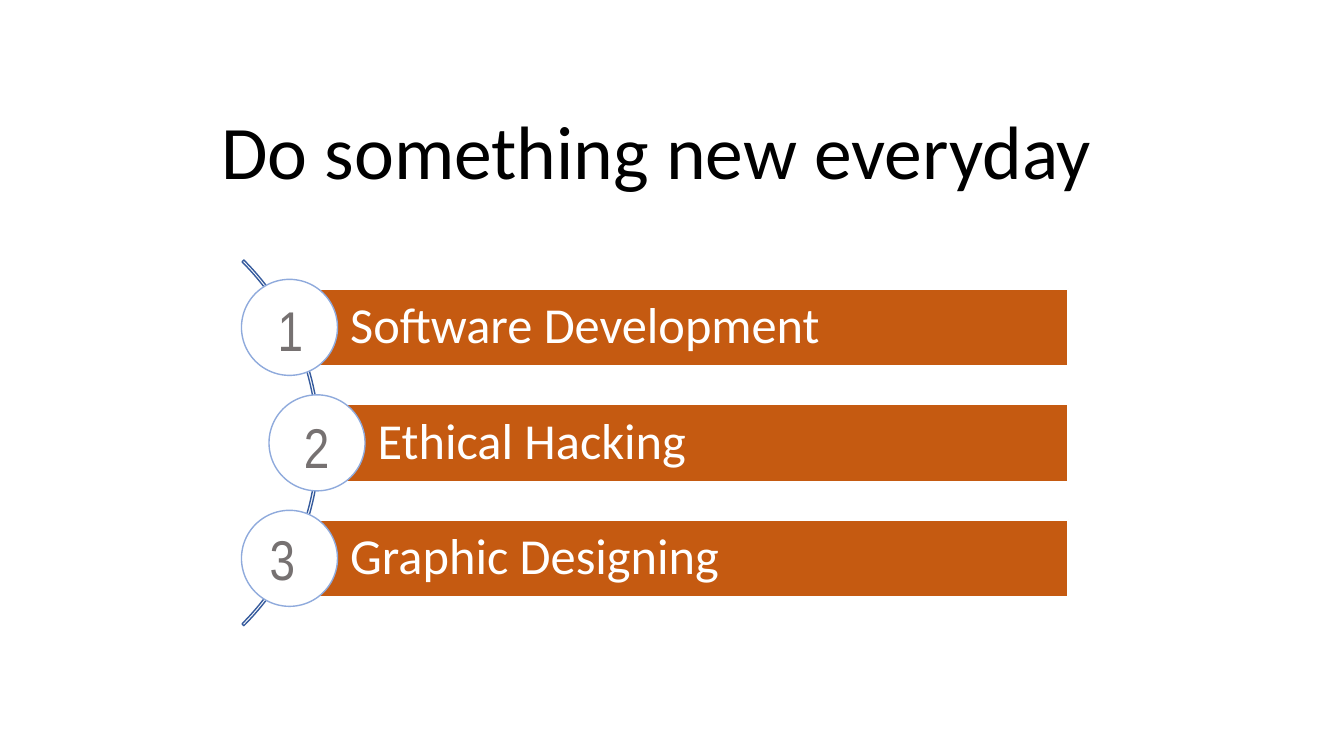
from dataclasses import dataclass
from math import sqrt

from pptx import Presentation
from pptx.dml.color import RGBColor
from pptx.enum.shapes import MSO_SHAPE
from pptx.enum.text import MSO_ANCHOR
from pptx.util import Cm, Pt


@dataclass(frozen=True)
class Theme:
    """Colours, fonts and type sizes of the slide."""
    black: str = "000000"
    white: str = "FFFFFF"
    bar: str = "C55A11"
    arc: str = "365B9D"
    ring: str = "8FAADC"
    number: str = "767171"
    font: str = "Calibri"
    number_font: str = "Arial Narrow"
    title_size: int = 54
    item_size: int = 36
    number_size: int = 40


@dataclass(frozen=True)
class Box:
    """A rectangle measured in centimetres."""
    left: float
    top: float
    width: float
    height: float

    def lengths(self):
        """Return the four sides as slide lengths."""
        return Cm(self.left), Cm(self.top), Cm(self.width), Cm(self.height)


THEME = Theme()
ITEMS = [
    ("Software Development", -0.55, -0.93),
    ("Ethical Hacking", -0.58, -0.89),
    ("Graphic Designing", -0.75, -0.98),
]


def write_text(shape, text, *, size, color, font=THEME.font, anchor=MSO_ANCHOR.TOP,
               left_margin=0.25, line_spacing=1.0):
    """Write one formatted paragraph into a shape."""
    frame = shape.text_frame
    frame.word_wrap = True
    frame.vertical_anchor = anchor
    frame.margin_left = Cm(left_margin)
    paragraph = frame.paragraphs[0]
    paragraph.line_spacing = line_spacing
    run = paragraph.add_run()
    run.text = text
    run.font.name = font
    run.font.size = Pt(size)
    run.font.color.rgb = RGBColor.from_string(color)


def add_outlined(slide, kind, box, *, line, fill=None):
    """Add a flat preset shape with a one-point outline."""
    shape = slide.shapes.add_shape(kind, *box.lengths())
    shape.shadow.inherit = False
    if fill:
        shape.fill.solid()
        shape.fill.fore_color.rgb = RGBColor.from_string(fill)
    else:
        shape.fill.background()
    shape.line.color.rgb = RGBColor.from_string(line)
    shape.line.width = Pt(1)
    return shape


def add_bar(slide, box, text):
    """Add one orange bar with its left-aligned label."""
    bar = slide.shapes.add_textbox(*box.lengths())
    bar.fill.solid()
    bar.fill.fore_color.rgb = RGBColor.from_string(THEME.bar)
    bar.line.color.rgb = RGBColor.from_string(THEME.white)
    bar.line.width = Pt(1)
    bar.text_frame.margin_top = bar.text_frame.margin_bottom = Cm(0.25)
    write_text(bar, text, size=THEME.item_size, color=THEME.white,
               anchor=MSO_ANCHOR.MIDDLE, left_margin=1.53, line_spacing=0.9)


def add_title(slide, box):
    """Add the slide title."""
    title = slide.shapes.add_textbox(*box.lengths())
    write_text(title, "Do something new everyday", size=THEME.title_size,
               color=THEME.black)


def add_curved_list(slide, box):
    """Add numbered bars whose circles follow an arc at the left of the box."""
    arc_size, orbit, step = 13.03, 6.45, 2.91
    circle_size, bar_height = 2.42, 1.94
    arc_x = box.left - 4.55
    middle_y = box.top + box.height / 2
    arc_box = Box(arc_x - arc_size / 2, middle_y - arc_size / 2, arc_size, arc_size)
    arc = add_outlined(slide, MSO_SHAPE.BLOCK_ARC, arc_box, line=THEME.arc)
    for index, value in enumerate((189, 27, 0.005)):
        arc.adjustments[index] = value

    for index, (text, number_x, number_y) in enumerate(ITEMS):
        rise = (index - (len(ITEMS) - 1) / 2) * step
        x = arc_x + sqrt(orbit ** 2 - rise ** 2)
        y = middle_y + rise
        add_bar(slide, Box(x, y - bar_height / 2, box.left + box.width - x, bar_height), text)
        circle_box = Box(x - circle_size / 2, y - circle_size / 2, circle_size, circle_size)
        add_outlined(slide, MSO_SHAPE.OVAL, circle_box, line=THEME.ring, fill=THEME.white)
        number = slide.shapes.add_textbox(*Box(x + number_x, y + number_y, 2.08, 1.96).lengths())
        write_text(number, str(index + 1), size=THEME.number_size,
                   color=THEME.number, font=THEME.number_font)


def main():
    """Build and save the presentation."""
    presentation = Presentation()
    presentation.slide_width = Cm(33.87)
    presentation.slide_height = Cm(19.05)
    slide = presentation.slides.add_slide(presentation.slide_layouts[6])
    add_title(slide, Box(5.33, 2.49, 25.68, 2.57))
    add_curved_list(slide, Box(6.09, 6.6, 20.83, 9.12))
    presentation.save("out.pptx")


if __name__ == "__main__":
    main()
